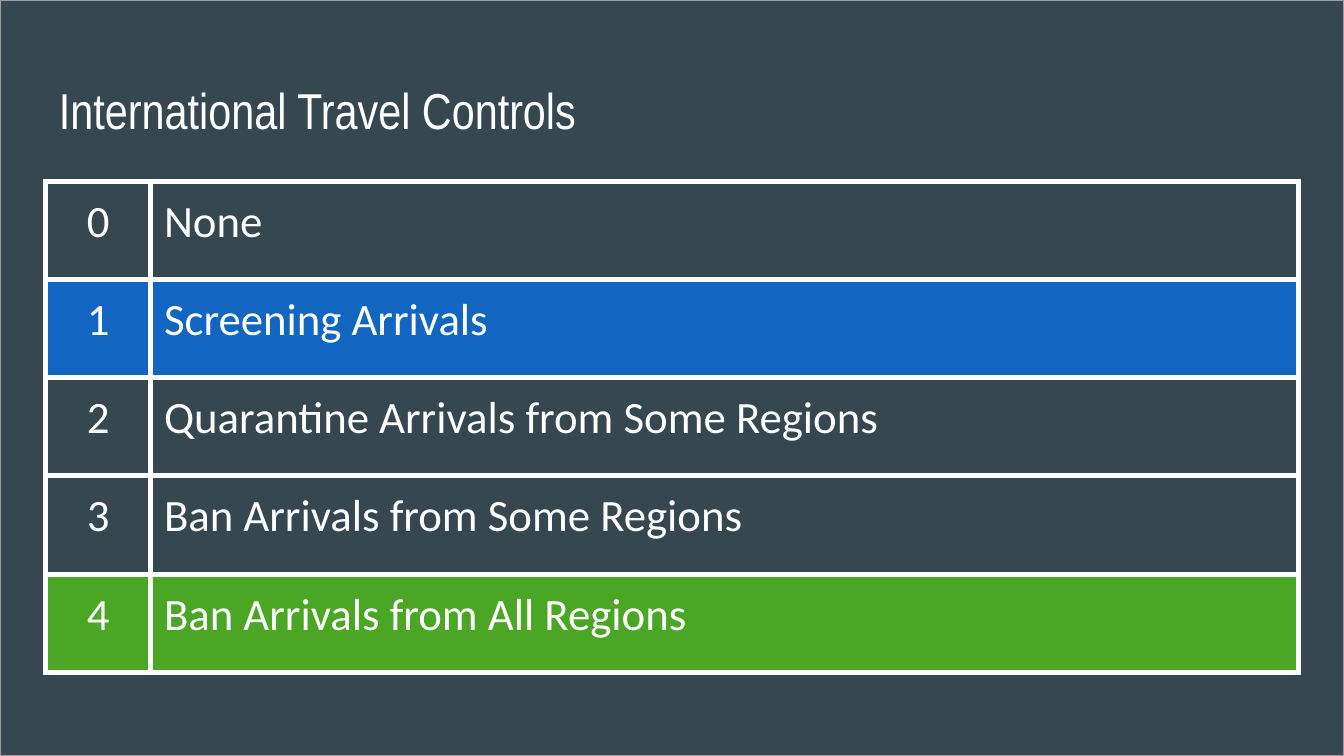
from typing import NamedTuple, Optional

from lxml.etree import SubElement
from pptx import Presentation
from pptx.dml.color import RGBColor
from pptx.dml.fill import FillFormat
from pptx.enum.shapes import MSO_SHAPE as Shape
from pptx.enum.text import PP_ALIGN as Align
from pptx.oxml.ns import qn
from pptx.slide import Slide
from pptx.table import _Cell as Cell
from pptx.text.text import _Paragraph as Paragraph
from pptx.util import Pt

COLORS = {
    "slate": "37474F",
    "outline": "9E9E9E",
    "white": "FFFFFF",
    "blue": "0077FF",
    "green": "5EFF00",
}
SLIDE_WIDTH, SLIDE_HEIGHT = 720, 405
LEFT = 24.5
INSET = 7.2
LEVEL_WIDTH, POLICY_WIDTH = 56.2, 614.9
ROW_HEIGHT = 52.6
BORDER_WIDTH = 3


class Highlight(NamedTuple):
    color: str
    opacity: int


class Control(NamedTuple):
    level: int
    policy: str
    highlight: Optional[Highlight] = None


CONTROLS = [
    Control(0, "None"),
    Control(1, "Screening Arrivals", Highlight("blue", 66)),
    Control(2, "Quarantine Arrivals from Some Regions"),
    Control(3, "Ban Arrivals from Some Regions"),
    Control(4, "Ban Arrivals from All Regions", Highlight("green", 52)),
]


def rgb(color: str) -> RGBColor:
    return RGBColor.from_string(COLORS[color])


def fill_translucent(fill: FillFormat, parent, highlight: Highlight) -> None:
    fill.solid()
    fill.fore_color.rgb = rgb(highlight.color)
    color = parent.find(qn("a:solidFill")).find(qn("a:srgbClr"))
    SubElement(color, qn("a:alpha"), val=str(highlight.opacity * 1000))


def style_text(paragraph: Paragraph, family: str, size: float, align: Align) -> None:
    paragraph.alignment = align
    paragraph.font.name = family
    paragraph.font.size = Pt(size)
    paragraph.font.color.rgb = rgb("white")


def set_insets(holder) -> None:
    holder.margin_left = holder.margin_right = Pt(INSET)
    holder.margin_top = holder.margin_bottom = Pt(INSET)


def draw_backdrop(slide: Slide) -> None:
    slide.background.fill.solid()
    slide.background.fill.fore_color.rgb = rgb("slate")
    backdrop = slide.shapes.add_shape(
        Shape.RECTANGLE, Pt(0), Pt(0), Pt(SLIDE_WIDTH), Pt(SLIDE_HEIGHT)
    )
    backdrop.shadow.inherit = False
    fill_translucent(backdrop.fill, backdrop._element.spPr, Highlight("slate", 72))
    backdrop.line.color.rgb = rgb("outline")
    backdrop.line.width = Pt(0.75)


def draw_title(slide: Slide, title: str) -> None:
    heading = slide.shapes.add_textbox(Pt(LEFT), Pt(35.3), Pt(671), Pt(45.4))
    frame = heading.text_frame
    frame.word_wrap = True
    set_insets(frame)
    frame.text = title
    style_text(frame.paragraphs[0], "Arial Narrow", 27, Align.LEFT)


def draw_cell(cell: Cell, text: str, align: Align, highlight: Optional[Highlight]) -> None:
    cell.text = text
    set_insets(cell)
    style_text(cell.text_frame.paragraphs[0], "Calibri", 24, align)
    properties = cell._tc.get_or_add_tcPr()
    for side in ("lnL", "lnR", "lnT", "lnB"):
        border = SubElement(properties, qn(f"a:{side}"), w=str(Pt(BORDER_WIDTH)))
        stroke = SubElement(border, qn("a:solidFill"))
        SubElement(stroke, qn("a:srgbClr"), val=COLORS["white"])
    if highlight:
        fill_translucent(cell.fill, properties, highlight)
    else:
        cell.fill.background()


def draw_controls(slide: Slide, controls: list[Control]) -> None:
    table = slide.shapes.add_table(
        len(controls), 2, Pt(LEFT), Pt(97.2),
        Pt(LEVEL_WIDTH + POLICY_WIDTH), Pt(ROW_HEIGHT * len(controls)),
    ).table
    table.first_row = table.horz_banding = False
    table.columns[0].width = Pt(LEVEL_WIDTH)
    table.columns[1].width = Pt(POLICY_WIDTH)
    for index, control in enumerate(controls):
        table.rows[index].height = Pt(ROW_HEIGHT)
        draw_cell(table.cell(index, 0), str(control.level), Align.CENTER, control.highlight)
        draw_cell(table.cell(index, 1), control.policy, Align.LEFT, control.highlight)


def main() -> None:
    presentation = Presentation()
    presentation.slide_width = Pt(SLIDE_WIDTH)
    presentation.slide_height = Pt(SLIDE_HEIGHT)
    slide = presentation.slides.add_slide(presentation.slide_layouts[6])
    draw_backdrop(slide)
    draw_title(slide, "International Travel Controls")
    draw_controls(slide, CONTROLS)
    presentation.save("out.pptx")


if __name__ == "__main__":
    main()
